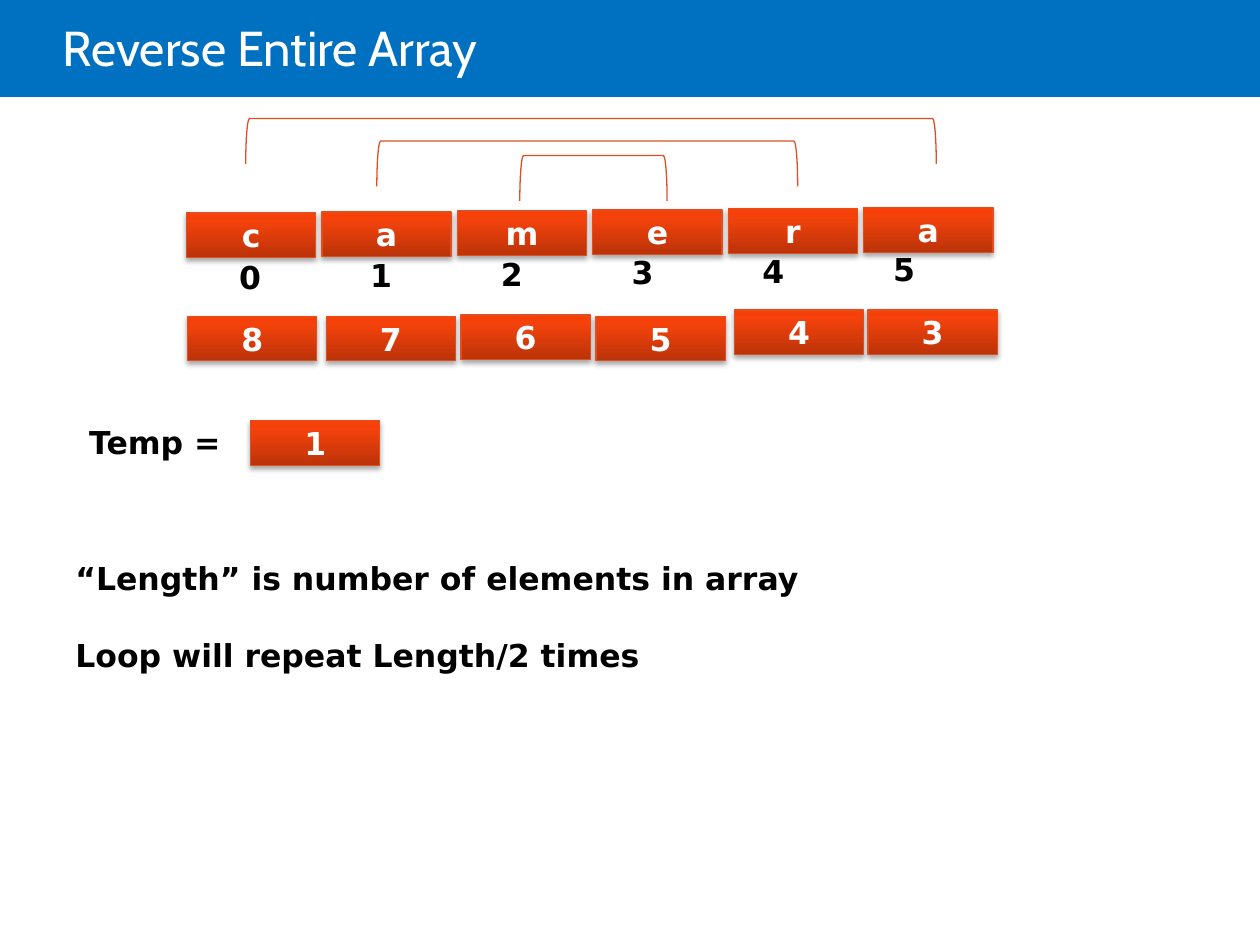
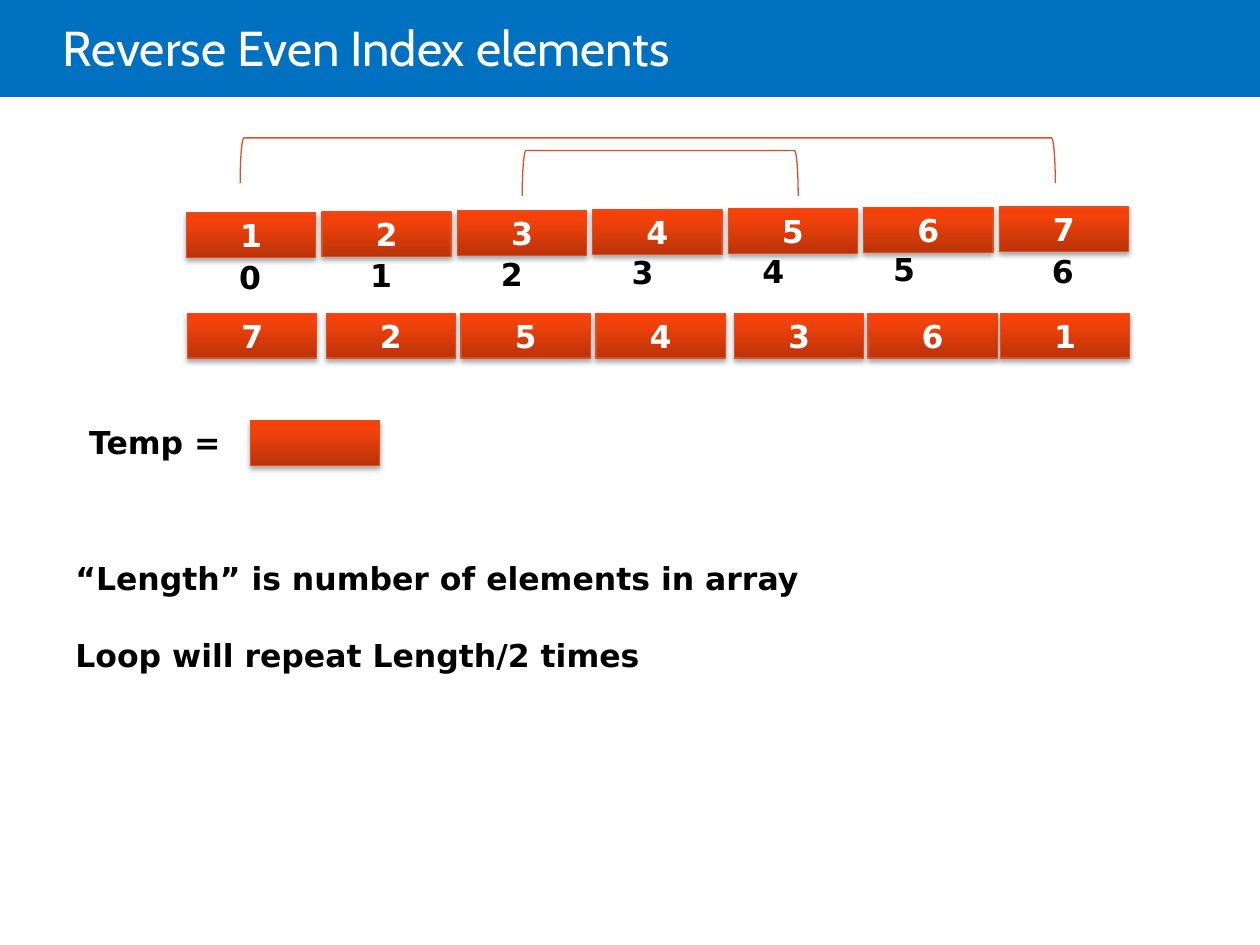
import pptx
import pptx.util
import pptx.dml.color
import pptx.enum.shapes
import pptx.enum.text
import pptx.oxml.ns
from lxml import etree

Pt = pptx.util.Pt
RGB = pptx.dml.color.RGBColor.from_string
KIND = pptx.enum.shapes.MSO_SHAPE
ANCHOR = pptx.enum.text.MSO_ANCHOR
ALIGN = pptx.enum.text.PP_ALIGN
qn = pptx.oxml.ns.qn

# Content: each arc is (left, right, top)
NOTES = ["“Length” is number of elements in array",
         "Loop will repeat Length/2 times"]
SLIDES = [
    {"title": "Reverse Entire Array",
     "before": "camera", "after": "876543", "temp": "1",
     "tops": [180.7, 180.7, 180, 180.7, 177.1, 177.1],
     "arcs": [(140.4, 535, 67.7), (215.3, 455.8, 80.6), (297, 381.2, 88.9)]},
    {"title": "Reverse Even Index elements",
     "before": "1234567", "after": "7254361", "temp": "",
     "tops": [179.3] * 7,
     "arcs": [(137.2, 603, 78.8), (298.4, 456.1, 86)]},
]


class Theme:
    band, white, ink, edge = "0070C0", "FFFFFF", "000000", "DF4F22"
    stops = [(0, "BB3309"), (80, "F3420B"), (100, "F84007")]
    head = {"name": "Cabin", "size": Pt(28)}
    body = {"name": "DejaVu Sans", "size": Pt(18), "bold": True}
    line = 0.75


# Places
CELL_W, CELL_H = 73.8, 25.4
ARC_H = 25.9
TOP_ROW = [(106.6 + 77.4 * i, 121.7 - 0.58 * i) for i in range(7)]
LABELS = [(129.6 + 74.74 * i, 144 - 0.95 * i) for i in range(6)] + [(594, 140.4)]
LOW_X = [107.3, 186.5, 263.5, 340.6, 419.8, 496.1, 571.7]


def put(item, values):
    for key, value in values.items():
        setattr(item, key, value)


def write(shape, lines, font, color, frame=None, para=None, gap=0):
    text = shape.text_frame
    put(text, frame or {})
    for i, line in enumerate(lines):
        part = text.paragraphs[0] if i == 0 else text.add_paragraph()
        put(part, para or {})
        if i:
            part.space_before = Pt(gap)
        run = part.add_run()
        run.text = line
        put(run.font, font)
        run.font.color.rgb = RGB(color)


def shape(slide, kind, x, y, w, h):
    made = slide.shapes.add_shape(kind, Pt(x), Pt(y), Pt(w), Pt(h))
    made.shadow.inherit = False
    return made


def label(slide, lines, x, y, w, h, gap=0):
    box = slide.shapes.add_textbox(Pt(x), Pt(y), Pt(w), Pt(h))
    write(box, lines, Theme.body, Theme.ink, {"word_wrap": False}, gap=gap)


def edge(item):
    item.line.color.rgb = RGB(Theme.edge)
    item.line.width = Pt(Theme.line)


def child(node, tag, **values):
    return etree.SubElement(node, qn(tag), {k: str(v) for k, v in values.items()})


def cell(slide, x, y, text):
    box = shape(slide, KIND.RECTANGLE, x, y, CELL_W, CELL_H)
    edge(box)
    # Three-stop gradient
    box.fill.gradient()
    box.fill.gradient_angle = 90
    props = box._element.spPr
    stops = props.find(".//" + qn("a:gsLst"))
    for stop in list(stops):
        stops.remove(stop)
    for pos, color in Theme.stops:
        child(child(stops, "a:gs", pos=pos * 1000), "a:srgbClr", val=color)
    # Soft shadow below
    shade = child(props.find(qn("a:effectLst")), "a:outerShdw", blurRad=Pt(3.1),
                  dist=Pt(1.8), dir=90 * 60000, rotWithShape=0)
    child(child(shade, "a:srgbClr", val=Theme.ink), "a:alpha", val=35000)
    if text:
        write(box, [text], Theme.body, Theme.white,
              {"margin_left": Pt(14.4), "margin_right": Pt(14.4),
               "vertical_anchor": ANCHOR.MIDDLE}, {"alignment": ALIGN.CENTER})


def arc(slide, left, right, top):
    # A left bracket turned a quarter, so its sides swap about the centre
    span = right - left
    item = shape(slide, KIND.LEFT_BRACKET, (left + right - ARC_H) / 2,
                 top + (ARC_H - span) / 2, ARC_H, span)
    item.rotation = 90
    item.fill.background()
    edge(item)


def header(slide, title):
    band = shape(slide, KIND.RECTANGLE, 0, 0, 720, 55.4)
    band.fill.solid()
    band.fill.fore_color.rgb = RGB(Theme.band)
    band.line.fill.background()
    box = slide.shapes.add_textbox(Pt(36), Pt(0), Pt(612), Pt(58.3))
    write(box, [title], Theme.head, Theme.white,
          {"word_wrap": True, "margin_left": 0, "vertical_anchor": ANCHOR.MIDDLE},
          {"line_spacing": 0.85})


deck = pptx.Presentation()
put(deck, {"slide_width": Pt(720), "slide_height": Pt(540)})
for data in SLIDES:
    slide = deck.slides.add_slide(deck.slide_layouts[6])
    header(slide, data["title"])
    # Array before, its indexes, and array after
    for i, text in enumerate(data["before"]):
        cell(slide, *TOP_ROW[i], text)
        label(slide, [str(i)], *LABELS[i], 27.4, 28.8)
    for x, y, text in zip(LOW_X, data["tops"], data["after"]):
        cell(slide, x, y, text)
    # Swap variable and notes
    label(slide, ["Temp ="], 43.9, 238.3, 92.9, 28.8)
    cell(slide, 143.3, 240.5, data["temp"])
    label(slide, NOTES, 36, 316.1, 433.4, 72.7, gap=21.9)
    # Swapped pairs
    for span in data["arcs"]:
        arc(slide, *span)
deck.save("out.pptx")
